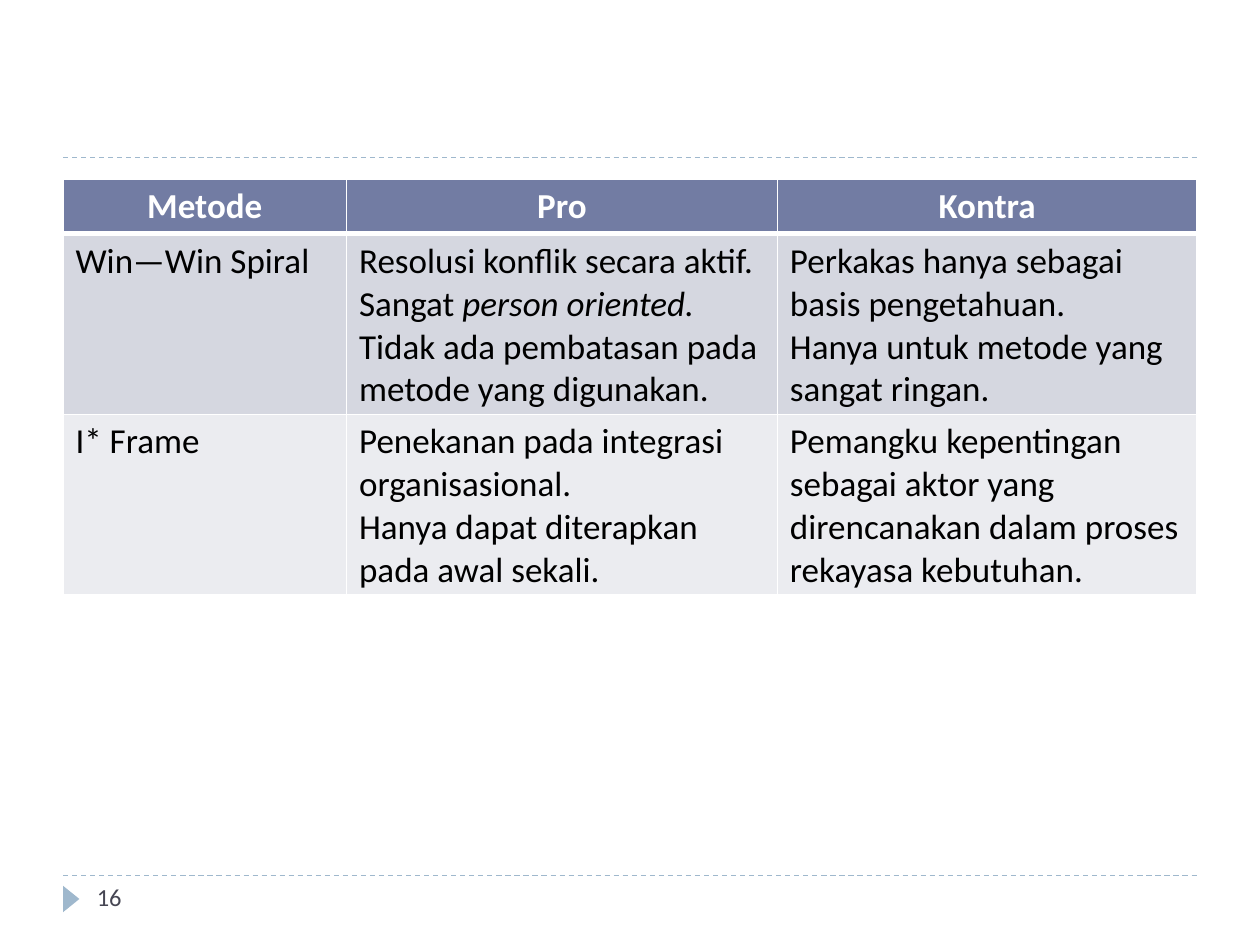
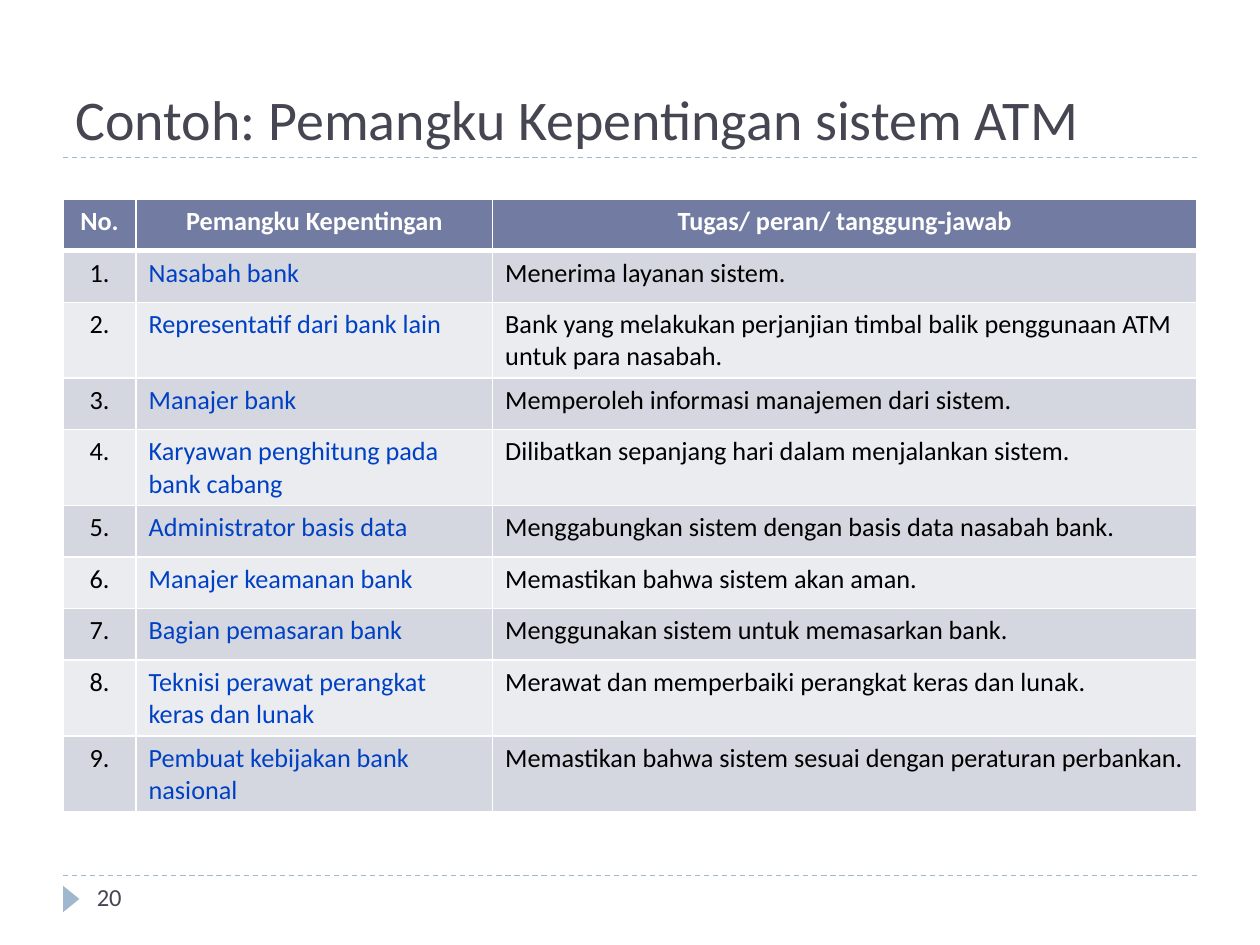
from lxml import etree
from pptx import Presentation
from pptx.dml.color import RGBColor
from pptx.enum.dml import MSO_LINE
from pptx.enum.shapes import MSO_CONNECTOR, MSO_SHAPE
from pptx.enum.text import MSO_ANCHOR, PP_ALIGN
from pptx.oxml.ns import qn
from pptx.util import Inches, Pt

CENTER, LEFT = PP_ALIGN.CENTER, PP_ALIGN.LEFT
TOP, BOTTOM = MSO_ANCHOR.TOP, MSO_ANCHOR.BOTTOM
STRAIGHT, TRIANGLE, DASH = MSO_CONNECTOR.STRAIGHT, MSO_SHAPE.ISOSCELES_TRIANGLE, MSO_LINE.DASH

FONT = "Calibri"
COLORS = {
    "accent": "9FB8CD",
    "title": "464653",
    "header": "727CA3",
    "odd_row": "D5D7E0",
    "even_row": "EBECF0",
    "white": "FFFFFF",
    "body": "000000",
    "stakeholder": "0041C4",
}

METHODS = [
    ("Win—Win Spiral",
     ["Resolusi konflik secara aktif.",
      [("Sangat ", False), ("person oriented.", True)],
      "Tidak ada pembatasan pada metode yang digunakan."],
     ["Perkakas hanya sebagai basis pengetahuan.",
      "Hanya untuk metode yang sangat ringan."]),
    ("I* Frame",
     ["Penekanan pada integrasi organisasional.",
      "Hanya dapat diterapkan pada awal sekali."],
     "Pemangku kepentingan sebagai aktor yang direncanakan dalam proses rekayasa kebutuhan."),
]

STAKEHOLDERS = [
    ("Nasabah bank", "Menerima layanan sistem."),
    ("Representatif dari bank lain",
     "Bank yang melakukan perjanjian timbal balik penggunaan ATM untuk para nasabah."),
    ("Manajer bank", "Memperoleh informasi manajemen dari sistem."),
    ("Karyawan penghitung pada bank cabang",
     "Dilibatkan sepanjang hari dalam menjalankan sistem."),
    ("Administrator basis data", "Menggabungkan sistem dengan basis data nasabah bank."),
    ("Manajer keamanan bank", "Memastikan bahwa sistem akan aman."),
    ("Bagian pemasaran bank", "Menggunakan sistem untuk memasarkan bank."),
    ("Teknisi perawat perangkat keras dan lunak",
     "Merawat dan memperbaiki perangkat keras dan lunak."),
    ("Pembuat kebijakan bank nasional",
     "Memastikan bahwa sistem sesuai dengan peraturan perbankan."),
]

SLIDES = [
    {
        "number": "16",
        "title": None,
        "top": 1.42,
        "size": 20,
        "header_height": 0.32,
        "columns": [("Metode", 2.25, LEFT, "body"),
                    ("Pro", 3.42, LEFT, "body"),
                    ("Kontra", 3.33, LEFT, "body")],
        "rows": METHODS,
    },
    {
        "number": "20",
        "title": "Contoh: Pemangku Kepentingan sistem ATM",
        "top": 1.58,
        "size": 15,
        "header_height": 0.41,
        "columns": [("No.", 0.58, CENTER, "body"),
                    ("Pemangku Kepentingan", 2.83, LEFT, "stakeholder"),
                    ("Tugas/ peran/ tanggung-jawab", 5.59, LEFT, "body")],
        "rows": [(f"{index}.", *row) for index, row in enumerate(STAKEHOLDERS, 1)],
    },
]

WIDTH, HEIGHT = 10, 7.5
MARGIN = 0.5
CONTENT_WIDTH = WIDTH - 2 * MARGIN
TITLE_RULE, FOOTER_RULE = 1.25, 6.95
TITLE_HEIGHT = 1.08
ROW_HEIGHT = 0.41
THIN, THICK = 1, 3


def rgb(name):
    return RGBColor.from_string(COLORS[name])


def write(frame, content, size, color, align=LEFT, bold=False):
    paragraphs = content if isinstance(content, list) else [content]
    for index, runs in enumerate(paragraphs):
        paragraph = frame.add_paragraph() if index else frame.paragraphs[0]
        paragraph.alignment = align
        for text, italic in [(runs, False)] if isinstance(runs, str) else runs:
            run = paragraph.add_run()
            run.text = text
            run.font.name = FONT
            run.font.size = Pt(size)
            run.font.bold = bold
            run.font.italic = italic
            run.font.color.rgb = rgb(color)


def add_text(slide, box, text, size, anchor):
    frame = slide.shapes.add_textbox(*map(Inches, box)).text_frame
    frame.word_wrap = True
    frame.vertical_anchor = anchor
    write(frame, text, size, "title")


def add_rule(slide, y):
    line = slide.shapes.add_connector(
        STRAIGHT, Inches(MARGIN), Inches(y), Inches(WIDTH - MARGIN), Inches(y))
    line.line.color.rgb = rgb("accent")
    line.line.width = Pt(0.75)
    line.line.dash_style = DASH
    etree.SubElement(line._element.spPr, qn("a:effectLst"))


def add_frame(slide, number, title):
    for y in (FOOTER_RULE, TITLE_RULE):
        add_rule(slide, y)
    marker = slide.shapes.add_shape(TRIANGLE, *map(Inches, (0.46, 7.07, 0.21, 0.13)))
    marker.rotation = 90
    marker.shadow.inherit = False
    marker.fill.solid()
    marker.fill.fore_color.rgb = rgb("accent")
    marker.line.fill.background()
    if title:
        box = (MARGIN, TITLE_RULE - TITLE_HEIGHT, CONTENT_WIDTH, TITLE_HEIGHT)
        add_text(slide, box, title, 32, BOTTOM)
    add_text(slide, (0.67, FOOTER_RULE, 2.17, 0.4), number, 14, TOP)


def set_borders(cell, top, bottom):
    properties = cell._tc.get_or_add_tcPr()
    for side, width in (("L", THIN), ("R", THIN), ("T", top), ("B", bottom)):
        border = etree.SubElement(properties, qn(f"a:ln{side}"), w=str(Pt(width)))
        fill = etree.SubElement(border, qn("a:solidFill"))
        etree.SubElement(fill, qn("a:srgbClr"), val=COLORS["white"])


def add_grid(slide, top, size, header_height, columns, rows):
    heights = [header_height] + [ROW_HEIGHT] * len(rows)
    table = slide.shapes.add_table(
        len(heights), len(columns), Inches(MARGIN), Inches(top),
        Inches(CONTENT_WIDTH), Inches(sum(heights))).table
    for row, height in zip(table.rows, heights):
        row.height = Inches(height)
    for column, (_, width, _, _) in zip(table.columns, columns):
        column.width = Inches(width)

    contents = [[heading for heading, *_ in columns], *rows]
    for row_index, values in enumerate(contents):
        is_header = row_index == 0
        fill = "header" if is_header else "odd_row" if row_index % 2 else "even_row"
        for column_index, value in enumerate(values):
            _, _, align, color = columns[column_index]
            if is_header:
                align, color = CENTER, "white"
            cell = table.cell(row_index, column_index)
            set_borders(cell, THICK if row_index == 1 else THIN, THICK if is_header else THIN)
            cell.fill.solid()
            cell.fill.fore_color.rgb = rgb(fill)
            write(cell.text_frame, value, size, color, align, is_header)


def main():
    presentation = Presentation()
    presentation.slide_width = Inches(WIDTH)
    presentation.slide_height = Inches(HEIGHT)
    blank = presentation.slide_layouts[6]
    for content in SLIDES:
        slide = presentation.slides.add_slide(blank)
        add_frame(slide, content["number"], content["title"])
        add_grid(slide, content["top"], content["size"], content["header_height"],
                 content["columns"], content["rows"])
    presentation.save("out.pptx")


if __name__ == "__main__":
    main()
